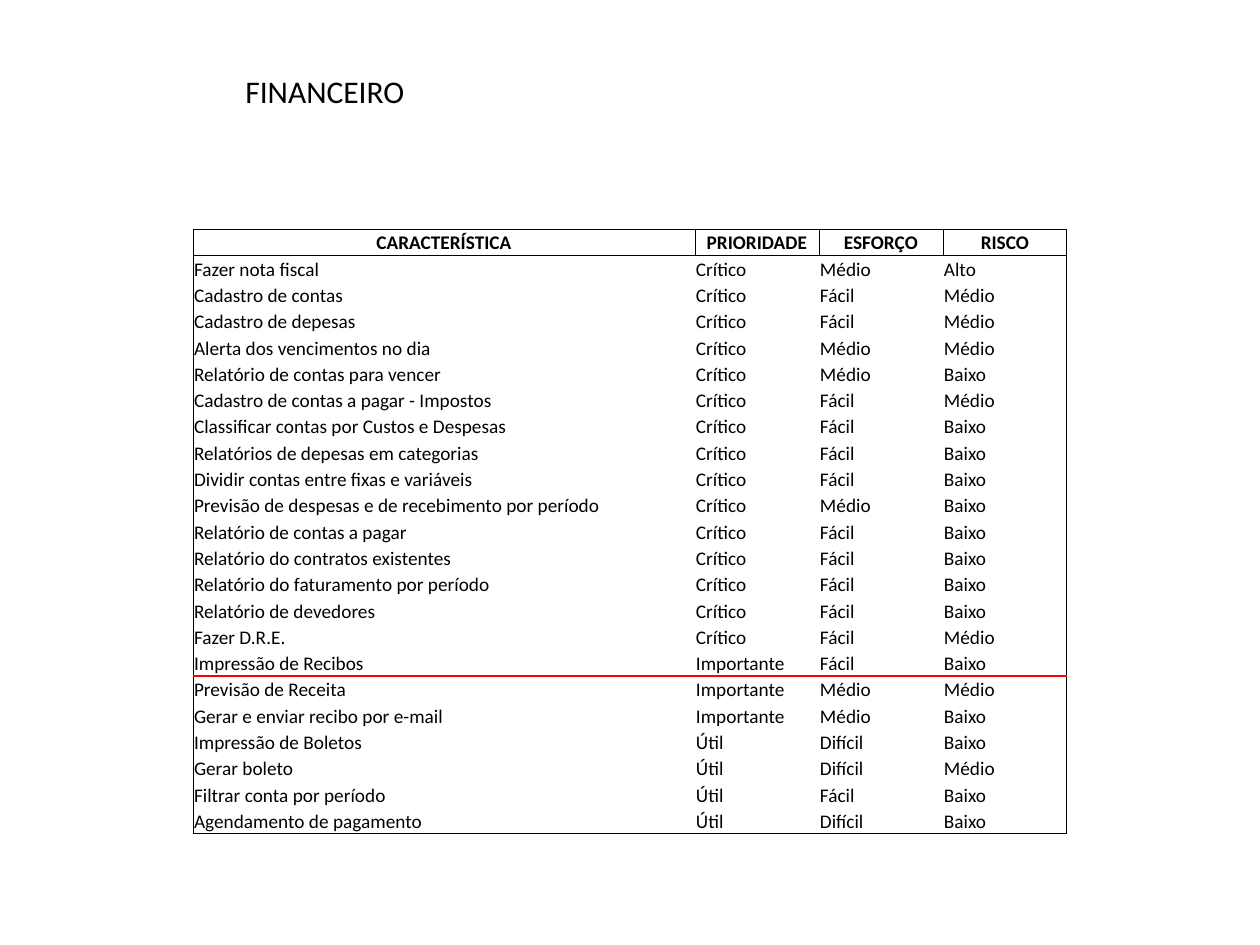
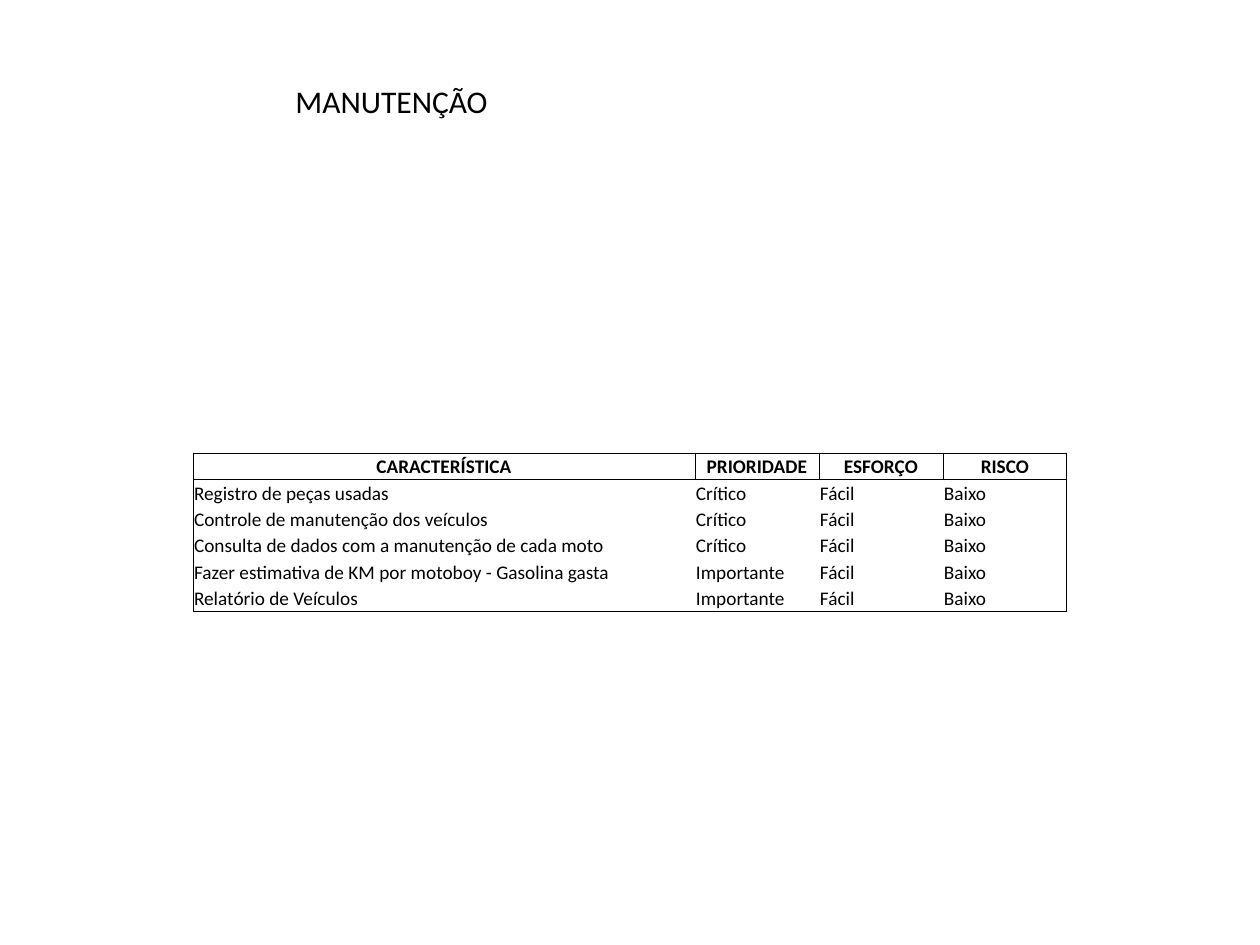
from lxml.etree import SubElement
from pptx import Presentation
from pptx.dml.color import RGBColor
from pptx.enum.text import MSO_ANCHOR, MSO_AUTO_SIZE, PP_ALIGN
from pptx.oxml.ns import qn
from pptx.util import Pt

PX = 914400 // 126
BLACK = RGBColor(0x00, 0x00, 0x00)
RED = RGBColor(0xFF, 0x00, 0x00)
HEADER = ("CARACTERÍSTICA", "PRIORIDADE", "ESFORÇO", "RISCO")
COLUMNS = (502, 124, 124, 124)
TABLE_LEFT = 193

FINANCE = [
    ("Fazer nota fiscal", "Crítico", "Médio", "Alto"),
    ("Cadastro de contas", "Crítico", "Fácil", "Médio"),
    ("Cadastro de depesas", "Crítico", "Fácil", "Médio"),
    ("Alerta dos vencimentos no dia", "Crítico", "Médio", "Médio"),
    ("Relatório de contas para vencer", "Crítico", "Médio", "Baixo"),
    ("Cadastro de contas a pagar - Impostos", "Crítico", "Fácil", "Médio"),
    ("Classificar contas por Custos e Despesas", "Crítico", "Fácil", "Baixo"),
    ("Relatórios de depesas em categorias", "Crítico", "Fácil", "Baixo"),
    ("Dividir contas entre fixas e variáveis", "Crítico", "Fácil", "Baixo"),
    ("Previsão de despesas e de recebimento por período", "Crítico", "Médio", "Baixo"),
    ("Relatório de contas a pagar", "Crítico", "Fácil", "Baixo"),
    ("Relatório do contratos existentes", "Crítico", "Fácil", "Baixo"),
    ("Relatório do faturamento por período", "Crítico", "Fácil", "Baixo"),
    ("Relatório de devedores", "Crítico", "Fácil", "Baixo"),
    ("Fazer D.R.E.", "Crítico", "Fácil", "Médio"),
    ("Impressão de Recibos", "Importante", "Fácil", "Baixo"),
    ("Previsão de Receita", "Importante", "Médio", "Médio"),
    ("Gerar e enviar recibo por e-mail", "Importante", "Médio", "Baixo"),
    ("Impressão de Boletos", "Útil", "Difícil", "Baixo"),
    ("Gerar boleto", "Útil", "Difícil", "Médio"),
    ("Filtrar conta por período", "Útil", "Fácil", "Baixo"),
    ("Agendamento de pagamento", "Útil", "Difícil", "Baixo"),
]
MAINTENANCE = [
    ("Registro de peças usadas", "Crítico", "Fácil", "Baixo"),
    ("Controle de manutenção dos veículos", "Crítico", "Fácil", "Baixo"),
    ("Consulta de dados com a manutenção de cada moto", "Crítico", "Fácil", "Baixo"),
    ("Fazer estimativa de KM por motoboy - Gasolina gasta", "Importante", "Fácil", "Baixo"),
    ("Relatório de Veículos", "Importante", "Fácil", "Baixo"),
]


def write(tf, text, size=11, bold=False, color=BLACK, font="Calibri", align=PP_ALIGN.LEFT):
    p = tf.paragraphs[0]
    p.alignment = align
    r = p.add_run()
    r.text = text
    r.font.name = font
    r.font.size = Pt(size)
    r.font.bold = bold
    r.font.color.rgb = color


def border(cell, side, line):
    tc_pr = cell._tc.get_or_add_tcPr()
    ln = SubElement(tc_pr, qn("a:ln" + side))
    if line is None:
        SubElement(ln, qn("a:noFill"))
        return
    color, width = line
    ln.set("w", str(Pt(width)))
    fill = SubElement(ln, qn("a:solidFill"))
    SubElement(fill, qn("a:srgbClr")).set("val", str(color))


class Deck:
    thin = (BLACK, 0.5)
    cut = (RED, 1)

    def __init__(self):
        self.prs = Presentation()
        self.prs.slide_width = 1260 * PX
        self.prs.slide_height = 945 * PX
        self.s = None

    def slide(self):
        self.s = self.prs.slides.add_slide(self.prs.slide_layouts[6])

    def title(self, text, x, y, w, h=50):
        sp = self.s.shapes.add_textbox(x * PX, y * PX, w * PX, h * PX)
        tf = sp.text_frame
        tf.word_wrap = False
        tf.auto_size = MSO_AUTO_SIZE.SHAPE_TO_FIT_TEXT
        write(tf, text, size=18)

    def table(self, rows, y, h, cut_after=None):
        rows = [HEADER] + rows
        n = len(rows)
        frame = self.s.shapes.add_table(
            n, len(COLUMNS), TABLE_LEFT * PX, y * PX, sum(COLUMNS) * PX, h * PX)
        table = frame.table
        table.first_row = False
        table.horz_banding = False
        for column, width in zip(table.columns, COLUMNS):
            column.width = width * PX
        edges = {0: self.thin, 1: self.thin, n: self.thin}
        if cut_after:
            edges[cut_after + 1] = self.cut
        for i, row in enumerate(rows):
            table.rows[i].height = (round(h * (i + 1) / n) - round(h * i / n)) * PX
            for j, text in enumerate(row):
                self.cell(table.cell(i, j), text, i == 0, {
                    "L": self.thin if i == 0 or j == 0 else None,
                    "R": self.thin if i == 0 or j == len(row) - 1 else None,
                    "T": edges.get(i),
                    "B": edges.get(i + 1),
                })

    def cell(self, cell, text, header, lines):
        cell.margin_left = cell.margin_right = cell.margin_top = PX
        cell.margin_bottom = 0
        cell.vertical_anchor = MSO_ANCHOR.MIDDLE if header else MSO_ANCHOR.BOTTOM
        for side, line in lines.items():
            border(cell, side, line)
        cell.fill.background()
        write(cell.text_frame, text, bold=header,
              align=PP_ALIGN.CENTER if header else PP_ALIGN.LEFT)


deck = Deck()

deck.slide()
deck.table(FINANCE, y=229, h=605, cut_after=16)
deck.title("FINANCEIRO", x=233, y=66, w=185)

deck.slide()
deck.table(MAINTENANCE, y=453, h=158)
deck.title("MANUTENÇÃO", x=283, y=76, w=219)

deck.prs.save("out.pptx")
